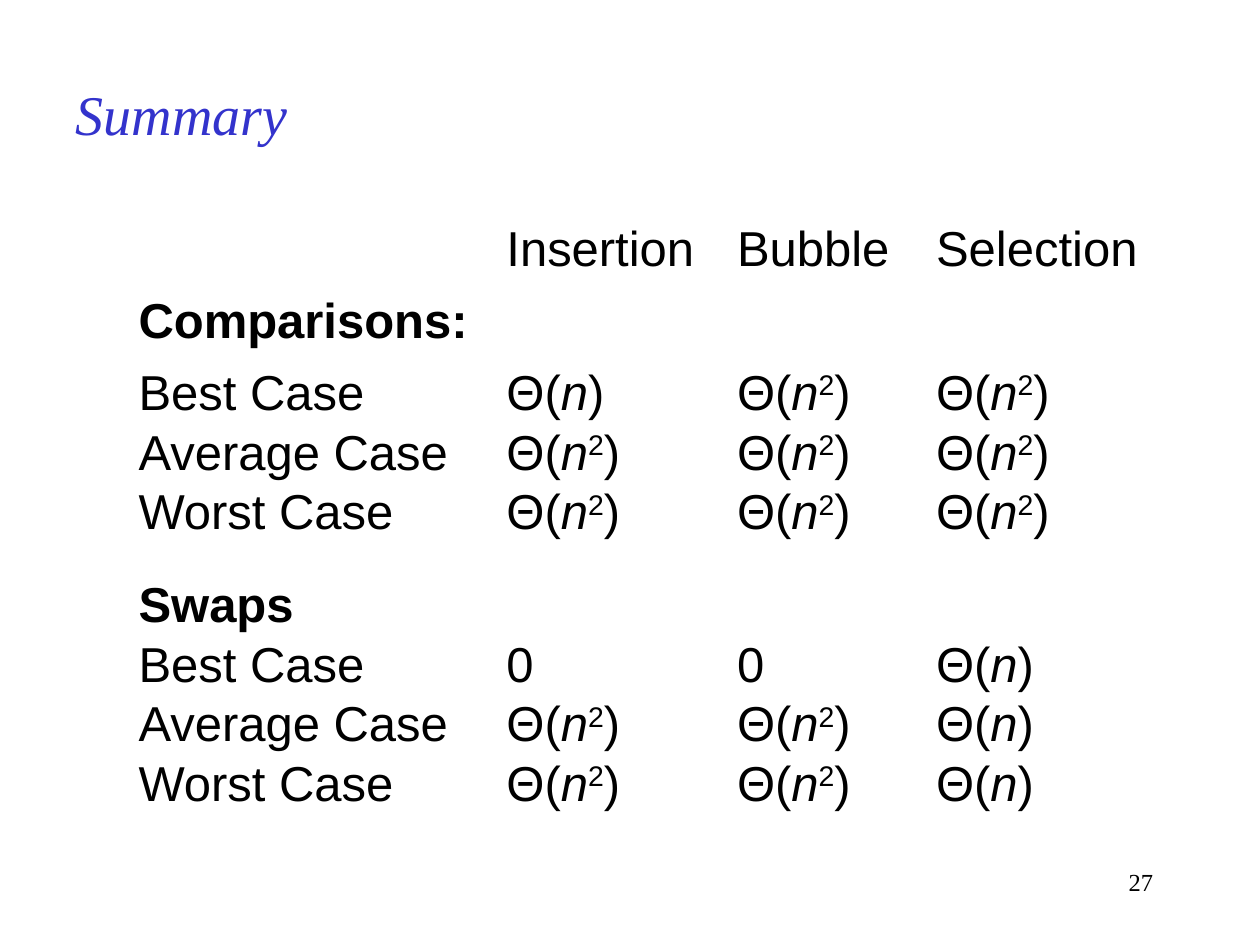
from typing import NamedTuple

import pptx
import pptx.dml.color
import pptx.enum.text
import pptx.util

Inches = pptx.util.Inches
Pt = pptx.util.Pt
RGBColor = pptx.dml.color.RGBColor
PP_ALIGN = pptx.enum.text.PP_ALIGN
MSO_ANCHOR = pptx.enum.text.MSO_ANCHOR

BLACK = RGBColor(0x00, 0x00, 0x00)
BLUE = RGBColor(0x33, 0x33, 0xCC)

TITLE_FORMAT = {"name": "Times New Roman", "size": Pt(32), "italic": True}
NUMBER_FORMAT = {"name": "Times New Roman", "size": Pt(14)}
CELL_FORMAT = {"name": "Arial", "size": Pt(28)}


class Run(NamedTuple):
    text: str
    format: dict = {}
    baseline: int = 0


class Row(NamedTuple):
    height: float
    cells: list
    bold: bool = False
    top: float = 0.05


OPEN, N, CLOSE = Run("Θ("), Run("n", {"italic": True}), Run(")")
LINEAR = [OPEN, N, CLOSE]
QUADRATIC = [OPEN, N, Run("2", baseline=30000), CLOSE]
ZERO = [Run("0")]

COLUMNS = [2.92, 1.83, 1.58, 1.83]
ROWS = [
    Row(0.57, [[], [Run("Insertion")], [Run("Bubble")], [Run("Selection")]]),
    Row(0.57, [[Run("Comparisons:")], [], [], []], bold=True),
    Row(0.47, [[Run("Best Case")], LINEAR, QUADRATIC, QUADRATIC]),
    Row(0.47, [[Run("Average Case")], QUADRATIC, QUADRATIC, QUADRATIC]),
    Row(0.47, [[Run("Worst Case")], QUADRATIC, QUADRATIC, QUADRATIC]),
    Row(0.72, [[Run("Swaps")], [], [], []], bold=True, top=0.31),
    Row(0.47, [[Run("Best Case")], ZERO, ZERO, LINEAR]),
    Row(0.47, [[Run("Average Case")], QUADRATIC, QUADRATIC, LINEAR]),
    Row(0.47, [[Run("Worst Case")], QUADRATIC, QUADRATIC, LINEAR]),
]


def add_runs(p, runs: list[Run], base: dict, color: RGBColor = BLACK) -> None:
    for run in runs:
        r = p.add_run()
        r.text = run.text
        for key, value in {**base, **run.format}.items():
            setattr(r.font, key, value)
        r.font.color.rgb = color
        if run.baseline:
            r._r.get_or_add_rPr().set("baseline", str(run.baseline))


def add_title(s, text: str) -> None:
    sp = s.shapes.title
    place = {"left": 0.5, "top": 0.4, "width": 9, "height": 1}
    for key, value in place.items():
        setattr(sp, key, Inches(value))
    tf = sp.text_frame
    tf.vertical_anchor = MSO_ANCHOR.MIDDLE
    p = tf.paragraphs[0]
    p.alignment = PP_ALIGN.LEFT
    add_runs(p, [Run(text)], TITLE_FORMAT, BLUE)


def add_summary_table(s, rows: list[Row]) -> None:
    table = s.shapes.add_table(
        len(rows), len(COLUMNS), Inches(1), Inches(1.79),
        Inches(sum(COLUMNS)), Inches(sum(row.height for row in rows)),
    ).table
    table.first_row = False
    table.horz_banding = False
    for column, width in zip(table.columns, COLUMNS):
        column.width = Inches(width)
    for i, row in enumerate(rows):
        table.rows[i].height = Inches(row.height)
        for j, runs in enumerate(row.cells):
            cell = table.cell(i, j)
            cell.fill.background()
            cell.margin_top = Inches(row.top)
            p = cell.text_frame.paragraphs[0]
            p.line_spacing = 0.8
            add_runs(p, runs, {**CELL_FORMAT, "bold": row.bold})


def add_slide_number(s, text: str) -> None:
    sp = s.shapes.add_textbox(Inches(7.17), Inches(6.83), Inches(2.08), Inches(0.5))
    tf = sp.text_frame
    tf.word_wrap = True
    p = tf.paragraphs[0]
    p.alignment = PP_ALIGN.RIGHT
    add_runs(p, [Run(text)], NUMBER_FORMAT)


def main() -> None:
    prs = pptx.Presentation()
    prs.slide_width = Inches(10)
    prs.slide_height = Inches(7.5)
    s = prs.slides.add_slide(prs.slide_layouts[5])
    add_slide_number(s, "27")
    add_title(s, "Summary")
    add_summary_table(s, ROWS)
    prs.save("out.pptx")


if __name__ == "__main__":
    main()
